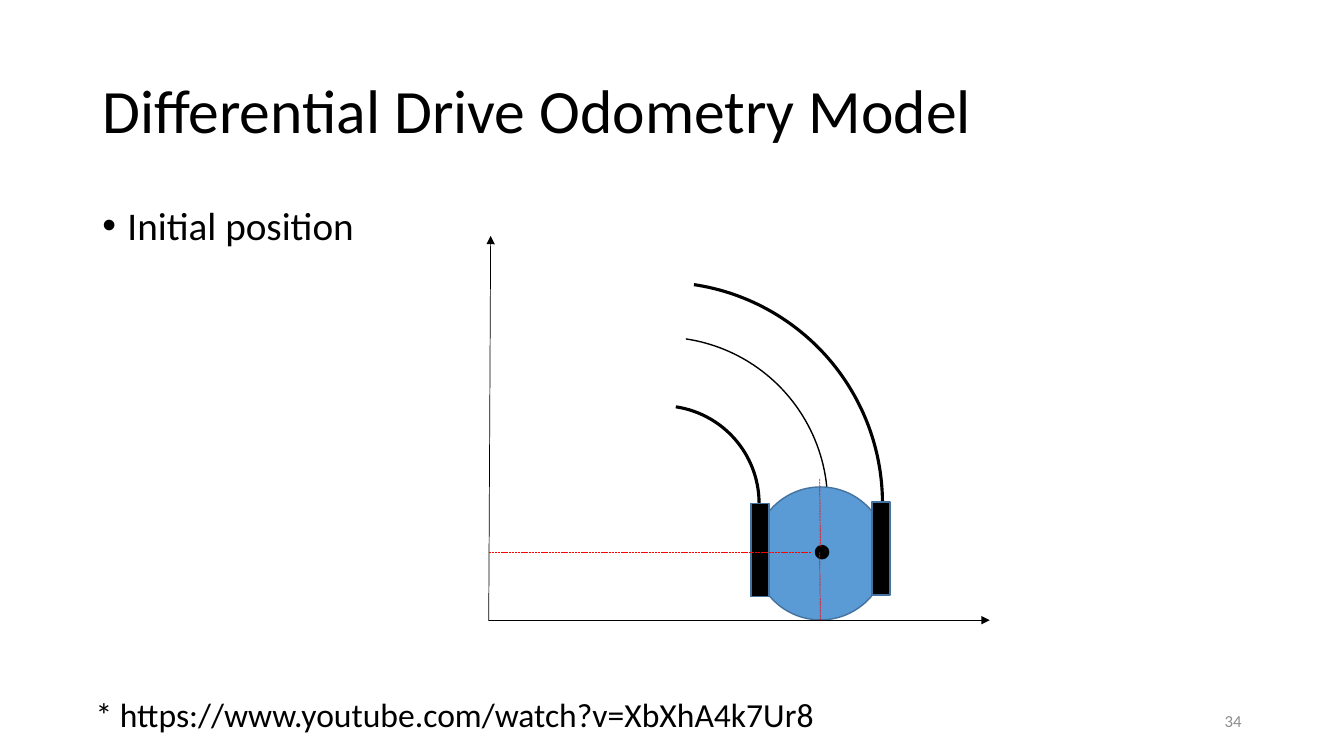
from dataclasses import dataclass

from lxml import etree
from pptx import Presentation
from pptx import util as u
from pptx.dml.color import RGBColor
from pptx.enum import dml, shapes, text
from pptx.oxml import ns


@dataclass(frozen=True)
class Theme:
    font: str = "Calibri"
    ink: str = "000000"
    muted: str = "8C8C8C"
    body: str = "5B9BD5"
    edge: str = "43739E"
    guide: str = "FF0000"
    title: float = 44
    bullet: float = 28
    source: float = 24
    number: float = 12
    thin: float = 0.5
    normal: float = 1
    thick: float = 2.25


T = Theme()
SHAPE = shapes.MSO_SHAPE
ALIGN = text.PP_ALIGN
ANCHOR = text.MSO_ANCHOR


def points(*values):
    return [u.Pt(v) for v in values]


def add_text(s, box, words, size, color=T.ink, anchor=ANCHOR.TOP,
             align=ALIGN.LEFT, spacing=1.0, bullet=False, wrap=True):
    tf = s.shapes.add_textbox(*points(*box)).text_frame
    tf.word_wrap = wrap
    tf.vertical_anchor = anchor
    p = tf.paragraphs[0]
    p.text = words
    p.alignment = align
    p.line_spacing = spacing
    if bullet:
        pPr = p._p.get_or_add_pPr()
        pPr.set("marL", str(u.Pt(18)))
        pPr.set("indent", str(u.Pt(-18)))
        etree.SubElement(pPr, ns.qn("a:buFont"), typeface="Arial")
        etree.SubElement(pPr, ns.qn("a:buChar"), char="•")
    for r in p.runs:
        r.font.name = T.font
        r.font.size = u.Pt(size)
        r.font.color.rgb = RGBColor.from_string(color)


def add_filled(parent, kind, box, fill, line):
    sp = parent.shapes.add_shape(kind, *points(*box))
    sp.shadow.inherit = False
    sp.fill.solid()
    sp.fill.fore_color.rgb = RGBColor.from_string(fill)
    sp.line.color.rgb = RGBColor.from_string(line)
    sp.line.width = u.Pt(T.normal)


def add_line(s, start, end, color, arrow=False, dashed=False):
    cx = s.shapes.add_connector(shapes.MSO_CONNECTOR.STRAIGHT, *points(*start, *end))
    cx.line.color.rgb = RGBColor.from_string(color)
    cx.line.width = u.Pt(T.thin)
    if dashed:
        cx.line.dash_style = dml.MSO_LINE.SQUARE_DOT
    if arrow:
        etree.SubElement(cx.line._get_or_add_ln(), ns.qn("a:tailEnd"), type="triangle")
    etree.SubElement(cx._element.spPr, ns.qn("a:effectLst"))


def add_wheel_paths(s, cx, cy):
    """Draw the concentric arcs followed by the two wheels and the robot centre."""
    for radius, width in ((158, T.thick), (118.8, T.normal), (69.8, T.thick)):
        sp = s.shapes.add_shape(SHAPE.ARC, *points(cx - radius, cy - radius, 2 * radius, 2 * radius))
        sp.shadow.inherit = False
        sp.fill.background()
        sp.line.color.rgb = RGBColor.from_string(T.ink)
        sp.line.width = u.Pt(width)
        # Angles are stored in 1/60000 degree, adjustments in 1/100000.
        sp.adjustments[0] = 278.5 * 0.6
        sp.adjustments[1] = 0


def add_robot(s, x, y, size):
    robot = s.shapes.add_group_shape()
    add_filled(robot, SHAPE.OVAL, (x, y, size, size), T.body, T.edge)
    for dx, dy in ((-2.2, 12), (84.2, 10.8)):
        add_filled(robot, SHAPE.RECTANGLE, (x + dx, y + dy, 13, 66.4), T.ink, T.edge)
    add_filled(robot, SHAPE.OVAL, (x + 43.9, y + 41.9, 9.4, 9.4), T.ink, T.ink)


def add_diagram(s, x, y, w, h):
    base = y + h
    add_wheel_paths(s, x + 122.9, y + 191.1)
    add_robot(s, x + 189.1, y + 179.3, 95)
    add_line(s, (x, base), (x + w, base), T.ink, arrow=True)
    add_line(s, (x - 0.4, base + 0.5), (x + 1, y), T.ink, arrow=True)
    robot_x, robot_y = x + 236, y + 226
    add_line(s, (x + 230, robot_y), (x, robot_y), T.guide, dashed=True)
    for top in (robot_y, robot_y - 52.5):
        add_line(s, (robot_x, top), (robot_x + 0.5, top + 49), T.guide, dashed=True)


def add_footer(s, x, y, w):
    add_text(s, (x, y, 533, 36), "* https://www.youtube.com/watch?v=XbXhA4k7Ur8",
             T.source, wrap=False)
    add_text(s, (x + w - 216, y + 8.6, 216, 28.8), "34", T.number, T.muted,
             ANCHOR.MIDDLE, ALIGN.RIGHT)


def main():
    prs = Presentation()
    prs.slide_width, prs.slide_height = points(960, 540)
    s = prs.slides.add_slide(prs.slide_layouts[6])
    add_text(s, (66, 28.8, 828, 104.4), "Differential Drive Odometry Model",
             T.title, anchor=ANCHOR.MIDDLE, spacing=0.9)
    add_text(s, (66, 144, 277, 120), "Initial position", T.bullet,
             spacing=0.9, bullet=True)
    add_diagram(s, 349.5, 168.5, 357.5, 274.5)
    add_footer(s, 61.2, 491.8, 832.8)
    prs.save("out.pptx")


if __name__ == "__main__":
    main()
